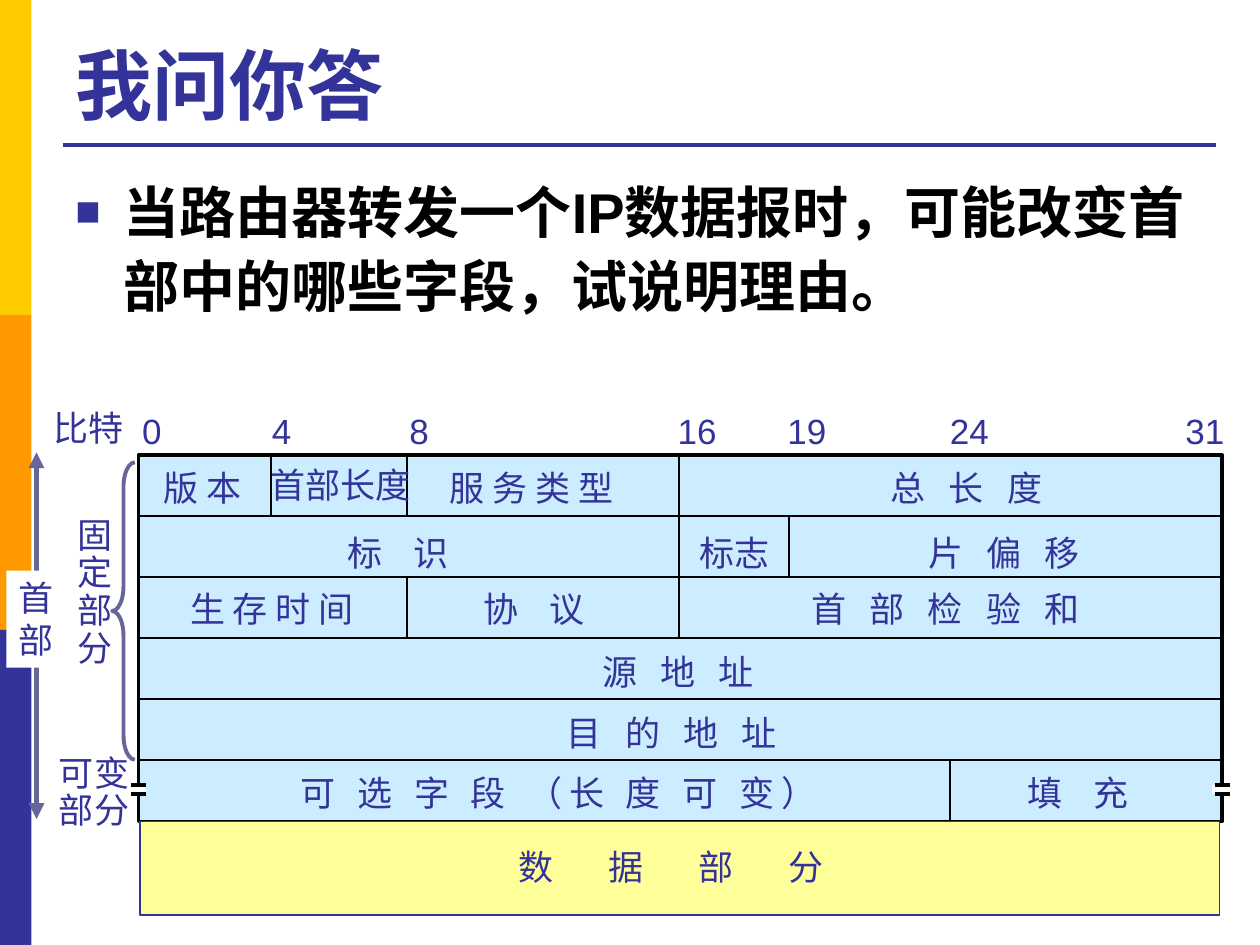
from dataclasses import dataclass
from lxml import etree
from pptx import Presentation
from pptx.dml.color import RGBColor
from pptx.enum.shapes import MSO_CONNECTOR, MSO_SHAPE
from pptx.enum.text import MSO_ANCHOR, PP_ALIGN
from pptx.oxml.ns import qn
from pptx.util import Inches, Pt

STRAIGHT = MSO_CONNECTOR.STRAIGHT
RECTANGLE, LEFT_BRACE = MSO_SHAPE.RECTANGLE, MSO_SHAPE.LEFT_BRACE
TOP, BOTTOM = MSO_ANCHOR.TOP, MSO_ANCHOR.BOTTOM
LEFT = PP_ALIGN.LEFT


@dataclass(frozen=True)
class Theme:
    font: str = "Arial"
    navy: str = "333399"
    slate: str = "666699"
    black: str = "000000"
    white: str = "FFFFFF"
    header: str = "CCECFF"
    data: str = "FFFF99"
    band: tuple = ("FFCC00", "FF9900", "333399")
    title_size: int = 44
    question_size: int = 32
    label_size: int = 20


THEME = Theme()
TITLE = "我问你答"
QUESTION = "当路由器转发一个IP数据报时，可能改变首部中的哪些字段，试说明理由。"

FRAME_LEFT, FRAME_TOP, FRAME_WIDTH, FRAME_HEIGHT = 1.1, 3.61, 8.6, 2.91
LABEL_HEIGHT = 0.43
BIT_LABELS = [("0", 1.03, 0.36), ("4", 2.06, 0.36), ("8", 3.15, 0.36), ("16", 5.28, 0.51),
              ("19", 6.15, 0.51), ("24", 7.44, 0.51), ("31", 9.31, 0.51)]
DIVIDERS = [(2.15, 0, 1), (3.23, 0, 1), (3.23, 2, 3), (5.39, 0, 3), (6.26, 1, 2), (7.54, 5, 6)]
FIELD_ROWS = [
    (3.63, [("首部长度", 2.05, 1.32, 0)]),
    (3.65, [("版 本", 1.2, 0.84, 0), ("服 务 类 型", 3.47, 1.55, 0), ("总 长 度", 6.97, 1.5, 4.4)]),
    (4.17, [("标 识", 2.66, 1.07, 6.6), ("标志", 5.45, 0.76, 0), ("片 偏 移", 7.27, 1.5, 4.4)]),
    (4.61, [("生 存 时 间", 1.41, 1.55, 0), ("协 议", 3.74, 1.07, 6.6),
            ("首 部 检 验 和", 6.34, 2.53, 4.4)]),
    (5.11, [("源 地 址", 4.68, 1.5, 4.4)]),
    (5.6, [("目 的 地 址", 4.4, 2.02, 4.4)]),
    (6.07, [("可 选 字 段 （长 度 可 变）", 2.29, 4.55, 3.9), ("填 充", 8.06, 1.07, 6.6)]),
    (6.66, [("数 据 部 分", 4.02, 3.18, 13.45)]),
]
SIDE_LABELS = [
    (["比特"], (0.33, 3.18, 0.76, LABEL_HEIGHT), 1),
    (["固", "定", "部", "分"], (0.52, 4.06, 0.48, 1.31), 0.9),
    (["可变", "部分"], (0.37, 5.95, 0.76, 0.7), 0.9),
]
BREAK_MARKS = [1.02, 9.62]

prs = Presentation()
prs.slide_width, prs.slide_height = Inches(10), Inches(7.5)
slide = prs.slides.add_slide(prs.slide_layouts[6])


def colour(value):
    return RGBColor.from_string(value)


def add_block(box, fill=None, line=None, weight=1, preset=RECTANGLE):
    block = slide.shapes.add_shape(preset, *map(Inches, box))
    block.shadow.inherit = False
    if fill:
        block.fill.solid()
        block.fill.fore_color.rgb = colour(fill)
    else:
        block.fill.background()
    if line:
        block.line.color.rgb = colour(line)
        block.line.width = Pt(weight)
    else:
        block.line.fill.background()
    return block


def add_line(x1, y1, x2, y2, stroke=THEME.black, weight=1):
    line = slide.shapes.add_connector(STRAIGHT, *map(Inches, (x1, y1, x2, y2)))
    line.line.color.rgb = colour(stroke)
    line.line.width = Pt(weight)
    etree.SubElement(line._element.spPr, qn("a:effectLst"))
    return line


def add_bullet(paragraph):
    properties = paragraph._p.get_or_add_pPr()
    properties.set("marL", str(Inches(0.38)))
    properties.set("indent", str(-Inches(0.38)))
    bullet_colour = etree.SubElement(properties, qn("a:buClr"))
    etree.SubElement(bullet_colour, qn("a:srgbClr"), val=THEME.navy)
    etree.SubElement(properties, qn("a:buSzPct"), val="75000")
    etree.SubElement(properties, qn("a:buFont"), typeface=THEME.font)
    etree.SubElement(properties, qn("a:buChar"), char="■")


def write(shape, lines, size=THEME.label_size, ink=THEME.navy, bold=False, wrap=False,
          anchor=TOP, leading=None, tracking=0, bullet=False):
    frame = shape.text_frame
    frame.word_wrap = wrap
    frame.vertical_anchor = anchor
    frame.text = "\n".join(lines)
    for paragraph in frame.paragraphs:
        paragraph.alignment = LEFT
        if leading:
            paragraph.line_spacing = leading
        if bullet:
            add_bullet(paragraph)
        font = paragraph.font
        font.name, font.size, font.bold = THEME.font, Pt(size), bold
        font.color.rgb = colour(ink)
        if tracking:
            paragraph._p.pPr.find(qn("a:defRPr")).set("spc", str(round(tracking * 100)))


def add_label(lines, box, **style):
    write(slide.shapes.add_textbox(*map(Inches, box)), lines, **style)


def add_extent_arrow():
    arrow = add_line(0.29, 3.59, 0.29, 6.5, THEME.slate, 3)
    outline = arrow.line._get_or_add_ln()
    for end in ("a:headEnd", "a:tailEnd"):
        etree.SubElement(outline, qn(end), type="triangle")
    header_label = add_block((0.05, 4.53, 0.48, 0.77), THEME.white)
    write(header_label, ["首", "部"])


def add_header_grid():
    row_height = FRAME_HEIGHT / 6
    frame = add_block((FRAME_LEFT, FRAME_TOP, FRAME_WIDTH, FRAME_HEIGHT),
                      THEME.header, THEME.black, 2)
    add_block((1.11, 6.52, 8.57, 0.74), THEME.data, THEME.navy)
    for row in range(1, 6):
        y = FRAME_TOP + row * row_height
        rule = add_line(FRAME_LEFT, y, FRAME_LEFT + FRAME_WIDTH, y)
        if row == 3:
            rule.begin_connect(frame, 1)
            rule.end_connect(frame, 3)
    for x, first, last in DIVIDERS:
        add_line(x, FRAME_TOP + first * row_height, x, FRAME_TOP + last * row_height)


for index, fill in enumerate(THEME.band):
    add_block((0, 2.5 * index, 0.25, 2.5), fill)
add_line(0.5, 1.15, 9.65, 1.15, THEME.navy, 2.25)
add_label([TITLE], (0.5, 0.21, 9.15, 0.87), size=THEME.title_size, bold=True,
          wrap=True, anchor=BOTTOM)
add_label([QUESTION], (0.5, 1.31, 9.15, 5.4), size=THEME.question_size, ink=THEME.black,
          bold=True, wrap=True, leading=1.1, bullet=True)
add_extent_arrow()
add_header_grid()
for bit, left, width in BIT_LABELS:
    add_label([bit], (left, 3.2, width, LABEL_HEIGHT))
for top, fields in FIELD_ROWS:
    for name, left, width, tracking in fields:
        add_label([name], (left, top, width, LABEL_HEIGHT), tracking=tracking)
for lines, box, leading in SIDE_LABELS:
    add_label(lines, box, leading=leading)
for left in BREAK_MARKS:
    add_block((left, 6.23, 0.14, 0.07), THEME.white)
    for y in (6.23, 6.3):
        add_line(left + 0.02, y, left + 0.14, y, weight=2)
brace = add_block((0.89, 3.67, 0.18, 2.36), line=THEME.slate, weight=2.25, preset=LEFT_BRACE)
brace.adjustments[0] = 1.08
prs.save("out.pptx")
